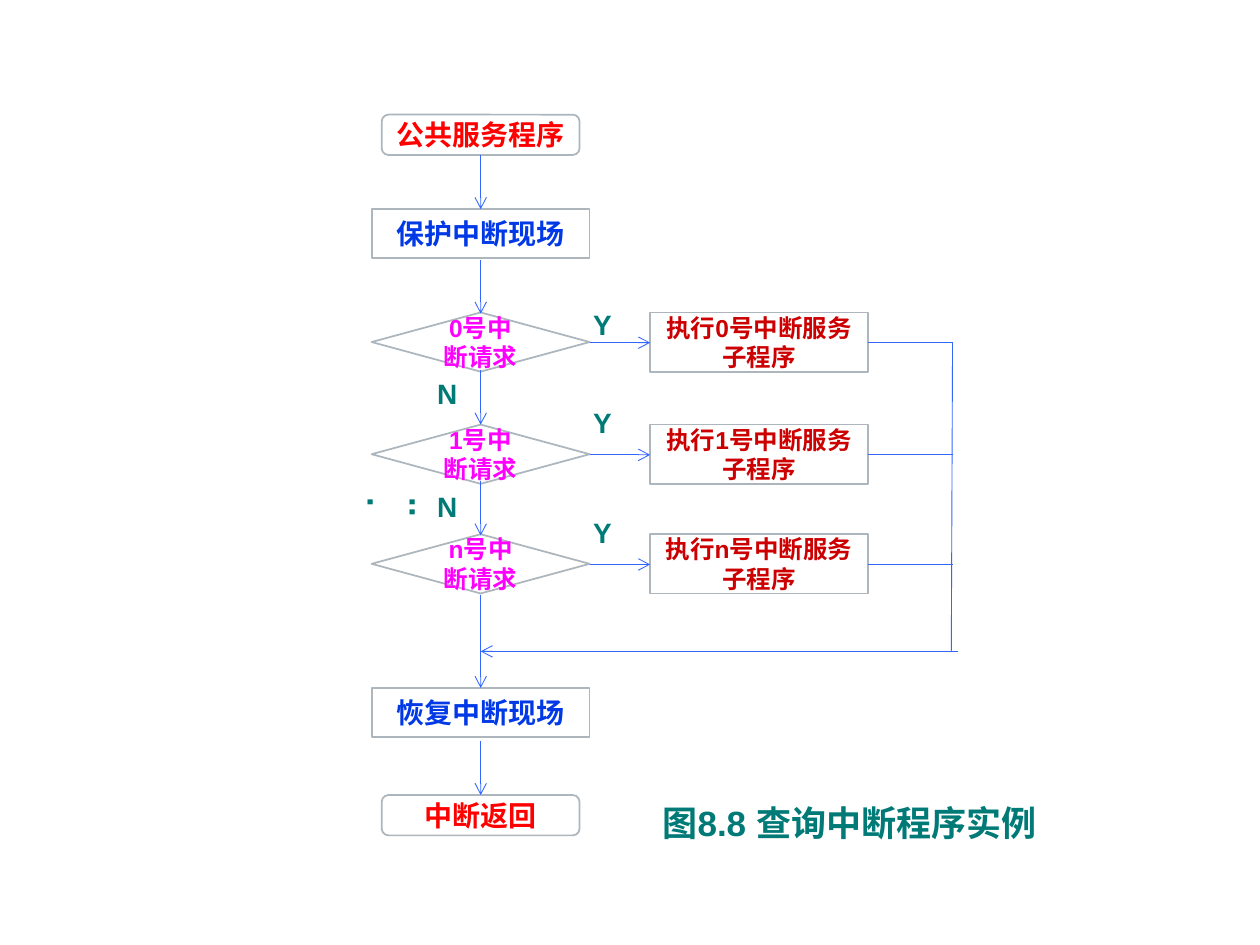
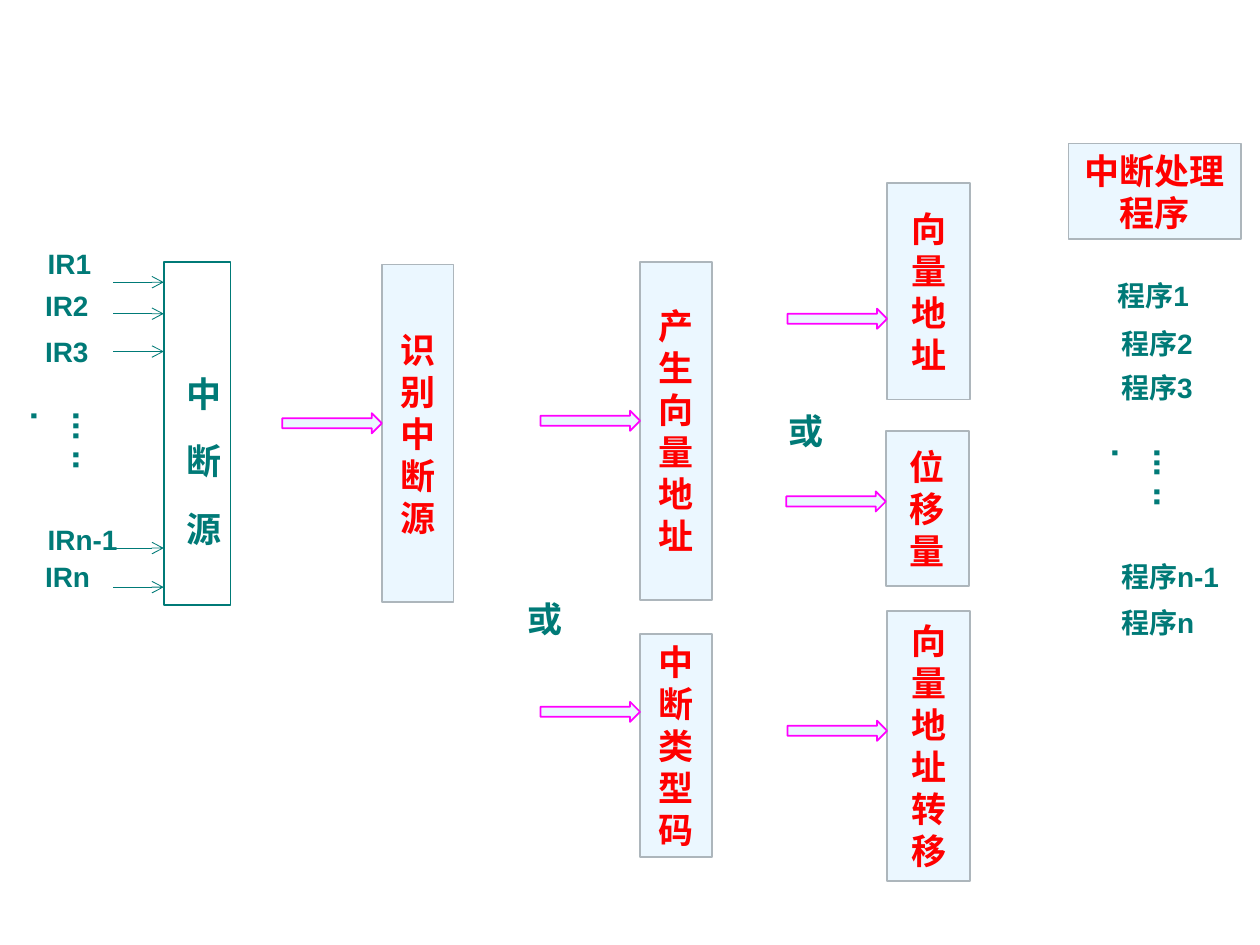
from lxml import etree
from pptx import Presentation
from pptx.dml.color import RGBColor
from pptx.enum.shapes import MSO_CONNECTOR, MSO_SHAPE as SHAPE
from pptx.enum.text import MSO_ANCHOR, MSO_AUTO_SIZE, PP_ALIGN
from pptx.oxml.ns import qn
from pptx.util import Inches, Pt

FONT = "Arial"
TEAL = RGBColor(0x00, 0x7A, 0x77)
RED = RGBColor(0xFF, 0x00, 0x00)
DARK_RED = RGBColor(0xCC, 0x00, 0x00)
MAGENTA = RGBColor(0xFF, 0x00, 0xFF)
BLUE = RGBColor(0x00, 0x39, 0xE5)
LINE_BLUE = RGBColor(0x33, 0x66, 0xFF)
GREY = RGBColor(0xAD, 0xB6, 0xBC)
PALE = RGBColor(0xEB, 0xF7, 0xFF)
WHITE = RGBColor(0xFF, 0xFF, 0xFF)

NODE_W, ROW_H = 1.73, 0.47
ARROW_W, ARROW_H = 0.79, 0.16


def write(shape, text, size=16, color=TEAL, align=None, anchor=MSO_ANCHOR.TOP,
          vertical=False, grow=False):
    """Fill a shape with bold text, one paragraph per line."""
    tf = shape.text_frame
    tf.word_wrap = True
    tf.vertical_anchor = anchor
    if grow:
        tf.auto_size = MSO_AUTO_SIZE.SHAPE_TO_FIT_TEXT
    side, end = (0.05, 0.1) if vertical else (0.1, 0.05)
    tf.margin_left = tf.margin_right = Inches(side)
    tf.margin_top = tf.margin_bottom = Inches(end)
    if vertical:
        tf._txBody.bodyPr.set("vert", "eaVert")
    tf.text = text
    for p in tf.paragraphs:
        p.alignment = align
        for r in p.runs:
            r.font.name, r.font.size, r.font.bold = FONT, Pt(size), True
            r.font.color.rgb = color
    return tf


def add_node(s, kind, x, y, w, h, line=GREY, fill=None):
    sp = s.shapes.add_shape(kind, Inches(x), Inches(y), Inches(w), Inches(h))
    sp.shadow.inherit = False
    if fill is None:
        sp.fill.background()
    else:
        sp.fill.solid()
        sp.fill.fore_color.rgb = fill
    sp.line.color.rgb = line
    sp.line.width = Pt(1)
    return sp


def add_box(s, kind, x, y, w, h, text, size, color, fill=None):
    """Add an outlined shape with centred text."""
    sp = add_node(s, kind, x, y, w, h, fill=fill)
    write(sp, text, size, color, PP_ALIGN.CENTER, MSO_ANCHOR.MIDDLE)


def add_label(s, x, y, w, h, text, size=16, vertical=False):
    tb = s.shapes.add_textbox(Inches(x), Inches(y), Inches(w), Inches(h))
    write(tb, text, size, vertical=vertical, grow=True)


def add_line(s, x1, y1, x2, y2, color=LINE_BLUE, arrow=True):
    c = s.shapes.add_connector(MSO_CONNECTOR.STRAIGHT, Inches(x1), Inches(y1),
                               Inches(x2), Inches(y2))
    c.line.color.rgb = color
    c.line.width = Pt(0.5)
    if arrow:
        etree.SubElement(c.line._get_or_add_ln(), qn("a:tailEnd"), type="arrow")
    etree.SubElement(c._element.spPr, qn("a:effectLst"))


def query_row(s, x, y, number, yes_dy):
    """One request test, its Y branch and its service routine."""
    routine_x, bus_x, mid = x + 2.21, x + 4.61, y + 0.24
    add_box(s, SHAPE.FLOWCHART_DECISION, x, y, NODE_W, ROW_H,
            f"{number}号中断请求", 14, MAGENTA)
    add_box(s, SHAPE.FLOWCHART_PROCESS, routine_x, y, NODE_W, ROW_H,
            f"执行{number}号中断服务子程序", 14, DARK_RED)
    add_line(s, x + NODE_W, mid, routine_x, mid)
    add_line(s, routine_x + NODE_W, mid, bus_x, mid, arrow=False)
    add_label(s, x + 1.66, y + yes_dy, 0.31, 0.37, "Y")


def polling_flowchart(s, x, y):
    """Main column of the flowchart, with the query rows and the return line."""
    mid = x + NODE_W / 2
    for dy, text in ((0, "公共服务程序"), (5.4, "中断返回")):
        add_box(s, SHAPE.ROUNDED_RECTANGLE, x + 0.08, y + dy, 1.57, 0.32,
                text, 16, RED)
    for dy, text in ((0.75, "保护中断现场"), (4.55, "恢复中断现场")):
        add_box(s, SHAPE.FLOWCHART_PROCESS, x, y + dy, NODE_W, 0.39,
                text, 16, BLUE)
    for dy, number, yes_dy in ((1.57, "0", -0.09), (2.46, "1", -0.2),
                               (3.33, "n", -0.2)):
        query_row(s, x, y + dy, number, yes_dy)
    for top, length in ((0.32, 0.43), (1.15, 0.43), (2.03, 0.43),
                        (2.91, 0.43), (3.81, 0.74), (4.97, 0.43)):
        add_line(s, mid, y + top, mid, y + top + length)
    for dy in (2.03, 2.93):
        add_label(s, x + 0.42, y + dy, 0.31, 0.37, "N")
    add_label(s, x + 0.1, y + 2.94, 0.53, 0.37, "...", 20, vertical=True)
    add_line(s, x + 4.61, y + 1.81, x + 4.6, y + 4.26, arrow=False)
    add_line(s, x + 4.65, y + 4.26, mid, y + 4.26)
    add_label(s, x + 2.21, y + 5.4, 3.27, 0.77, "图8.8 查询中断程序实例", 20)


def interrupt_sources(s, x, y):
    """Request lines feeding the tall source box."""
    source = add_node(s, SHAPE.RECTANGLE, x + 1.04, y + 0.17, 0.53, 2.72,
                      line=TEAL, fill=WHITE)
    p = write(source, "中断源", 20, vertical=True, grow=True).paragraphs[0]
    p.alignment = PP_ALIGN.LEFT
    p._p.get_or_add_pPr().set("marL", str(Inches(0.81)))
    p.runs[0]._r.get_or_add_rPr().set("spc", "1850")
    for text, dx, dy, arrow_dy in (
            ("IR1", 0.02, 0, 0.33), ("IR2", 0, 0.33, 0.58),
            ("IR3", 0, 0.7, 0.88), ("IRn-1", 0.02, 2.19, 2.44),
            ("IRn", 0, 2.48, 2.75)):
        add_label(s, x + dx, y + dy, 0.77, 0.37, text)
        add_line(s, x + 0.64, y + arrow_dy, x + 1.04, y + arrow_dy, TEAL)
    add_label(s, x + 0.12, y + 1.26, 0.53, 0.73, "... ...", 20, vertical=True)


def stage(s, x, y, w, h, text, arrow_dy):
    """A tall step box and the block arrow that leads into it."""
    add_box(s, SHAPE.RECTANGLE, x, y, w, h, text, 20, RED, PALE)
    add_node(s, SHAPE.RIGHT_ARROW, x - ARROW_W, y + arrow_dy, ARROW_W, ARROW_H,
             line=MAGENTA, fill=PALE)


def handler_programs(s, x, y):
    add_box(s, SHAPE.RECTANGLE, x, y, 1.37, 0.76, "中断处理程序", 20, RED, PALE)
    for text, dx, dy in (("1", 0.29, 1.02), ("2", 0.32, 1.4), ("3", 0.32, 1.75),
                         ("n-1", 0.32, 3.25), ("n", 0.32, 3.62)):
        add_label(s, x + dx, y + dy, 1.05, 0.37, f"程序{text}")
    add_label(s, x + 0.48, y + 2.32, 0.53, 0.73, "... ...", 20, vertical=True)


def vector_diagram(s):
    interrupt_sources(s, 0.26, 1.91)
    for args in ((3.03, 2.1, 0.57, 2.68, "识别中断源", 1.18),
                 (5.08, 2.08, 0.57, 2.68, "产生向量地址", 1.18),
                 (5.08, 5.03, 0.57, 1.77, "中断类型码", 0.54),
                 (7.04, 1.45, 0.66, 1.72, "向量地址", 1),
                 (7.03, 3.42, 0.66, 1.23, "位\n移\n量", 0.48),
                 (7.04, 4.85, 0.66, 2.14, "向量地址转移", 0.87)):
        stage(s, *args)
    for x, y in ((4.09, 4.69), (6.16, 3.2)):
        add_label(s, x, y, 0.49, 0.44, "或", 20)
    handler_programs(s, 8.48, 1.14)


def main():
    prs = Presentation()
    prs.slide_width, prs.slide_height = Inches(10), Inches(7.5)
    blank = prs.slide_layouts[6]
    polling_flowchart(prs.slides.add_slide(blank), 2.95, 0.91)
    vector_diagram(prs.slides.add_slide(blank))
    prs.save("out.pptx")


if __name__ == "__main__":
    main()
